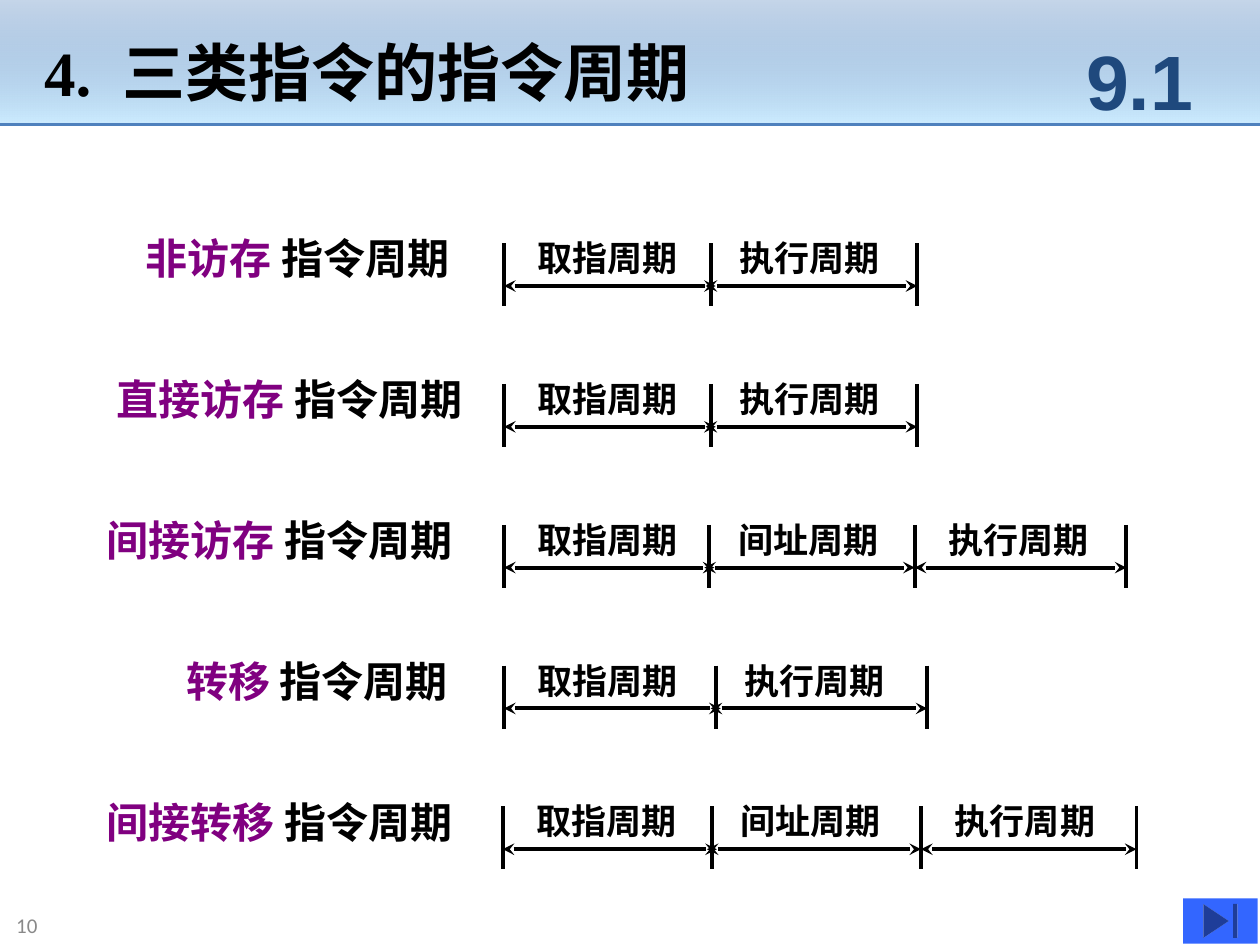
from dataclasses import dataclass

from lxml import etree
from pptx import Presentation
from pptx.dml.color import RGBColor
from pptx.enum.shapes import MSO_CONNECTOR, MSO_SHAPE
from pptx.enum.text import MSO_ANCHOR, MSO_AUTO_SIZE, PP_ALIGN
from pptx.oxml.ns import qn
from pptx.util import Inches, Pt

STRAIGHT = MSO_CONNECTOR.STRAIGHT
RECTANGLE = MSO_SHAPE.RECTANGLE
END_BUTTON = MSO_SHAPE.ACTION_BUTTON_END
TOP, MIDDLE = MSO_ANCHOR.TOP, MSO_ANCHOR.MIDDLE
LEFT, CENTER = PP_ALIGN.LEFT, PP_ALIGN.CENTER
FIT_SHAPE, NO_FIT = MSO_AUTO_SIZE.SHAPE_TO_FIT_TEXT, MSO_AUTO_SIZE.NONE

BLACK, PURPLE, NAVY = "000000", "800080", "1F497D"
BLUE, SKY, GREY, BUTTON = "4F81BD", "CCECFF", "898989", "3366FF"
SERIF = "Times New Roman"

HEADER_HEIGHT = 0.99
FIRST_ROW, LAST_ROW = 1.93, 6.4
TICK_HEIGHT = 0.5
ARROW_DROP = 0.34
OVERLAP = 0.04
LABEL_RIGHT = 3.8
PHASE_INSETS = (0.17, 0.13, 0.17)


@dataclass
class Cycle:
    kind: str
    label_left: float
    edges: tuple[float, ...]
    phases: tuple[str, ...]


FETCH, INDIRECT, EXECUTE = "取指周期", "间址周期", "执行周期"
CYCLES = [
    Cycle("非访存", 1.06, (4, 5.64, 7.28), (FETCH, EXECUTE)),
    Cycle("直接访存", 0.83, (4, 5.64, 7.28), (FETCH, EXECUTE)),
    Cycle("间接访存", 0.75, (4, 5.63, 7.26, 8.94), (FETCH, INDIRECT, EXECUTE)),
    Cycle("转移", 1.38, (4, 5.68, 7.36), (FETCH, EXECUTE)),
    Cycle("间接转移", 0.75, (3.99, 5.65, 7.31, 9.02), (FETCH, INDIRECT, EXECUTE)),
]


def rgb(value: str) -> RGBColor:
    return RGBColor.from_string(value)


def write(frame, *runs: tuple[str, str], size: float, font: str = SERIF,
          bold: bool = True, align=LEFT, anchor=TOP, wrap: bool = True,
          fit=NO_FIT, side_margin: float = 0.1) -> None:
    frame.word_wrap = wrap
    frame.auto_size = fit
    frame.vertical_anchor = anchor
    frame.margin_left = frame.margin_right = Inches(side_margin)
    frame.margin_top = frame.margin_bottom = Inches(0.05)
    paragraph = frame.paragraphs[0]
    paragraph.alignment = align
    for text, color in runs:
        run = paragraph.add_run()
        run.text = text
        run.font.size = Pt(size)
        run.font.name = font
        run.font.bold = bold
        run.font.color.rgb = rgb(color)


def add_text(slide, left: float, top: float, width: float, height: float,
             *runs: tuple[str, str], **formatting) -> None:
    box = slide.shapes.add_textbox(Inches(left), Inches(top), Inches(width), Inches(height))
    write(box.text_frame, *runs, **formatting)


def add_line(slide, x1: float, y1: float, x2: float, y2: float,
             color: str = BLACK, width: float = 2.25, arrows: bool = False):
    line = slide.shapes.add_connector(STRAIGHT, Inches(x1), Inches(y1), Inches(x2), Inches(y2))
    line.line.color.rgb = rgb(color)
    line.line.width = Pt(width)
    properties = line.line._get_or_add_ln()
    if arrows:
        for end in ("a:headEnd", "a:tailEnd"):
            etree.SubElement(properties, qn(end), type="stealth")
    etree.SubElement(properties.getparent(), qn("a:effectLst"))
    return line


def add_header(slide) -> None:
    band = slide.shapes.add_shape(RECTANGLE, 0, 0, Inches(10), Inches(HEADER_HEIGHT))
    band.shadow.inherit = False
    band.line.fill.background()
    band.fill.gradient()
    band.fill.gradient_angle = 270
    upper, lower = band.fill.gradient_stops
    upper.color.rgb, lower.color.rgb = rgb(BLUE), rgb(SKY)
    tint = band.element.spPr.find(".//" + qn("a:srgbClr"))
    etree.SubElement(tint, qn("a:alpha"), val="32000")
    rule = add_line(slide, 0, HEADER_HEIGHT, 10, HEADER_HEIGHT, color=BLUE, width=1.5)
    tree = slide.shapes.element
    tree.insert(2, band.element)
    tree.insert(3, rule.element)

    title = slide.shapes.title
    title.left, title.top = Inches(0.35), Inches(0.28)
    title.width, title.height = Inches(6.24), Inches(0.57)
    write(title.text_frame, ("4.  三类指令的指令周期", BLACK), size=36,
          anchor=MIDDLE, wrap=False, side_margin=0)
    add_text(slide, 8.42, 0.17, 1.25, 0.92, ("9.1", NAVY), size=44, font="Arial",
             align=CENTER, anchor=MIDDLE)


def add_cycle(slide, cycle: Cycle, top: float) -> None:
    add_text(slide, cycle.label_left, top - 0.13, LABEL_RIGHT - cycle.label_left, 0.5,
             (cycle.kind + " ", PURPLE), ("指令周期", BLACK), size=24, fit=FIT_SHAPE)
    for edge in cycle.edges:
        add_line(slide, edge, top, edge, top + TICK_HEIGHT)
    arrow_y = top + ARROW_DROP
    for index, phase in enumerate(cycle.phases):
        start, end = cycle.edges[index:index + 2]
        add_text(slide, start + PHASE_INSETS[index], top - 0.1, 1.31, 0.44,
                 (phase, BLACK), size=20, wrap=False, fit=FIT_SHAPE)
        tail = start - OVERLAP if index == 1 else start
        tip = end + OVERLAP if index == 0 else end
        add_line(slide, tail, arrow_y, tip, arrow_y, arrows=True)


def add_footer(slide) -> None:
    add_text(slide, 0.03, 7.18, 2.21, 0.32, ("10", GREY), size=12, font="Calibri",
             bold=False, anchor=MIDDLE)
    button = slide.shapes.add_shape(END_BUTTON, Inches(9.39), Inches(7.13),
                                    Inches(0.59), Inches(0.36))
    button.shadow.inherit = False
    button.fill.solid()
    button.fill.fore_color.rgb = rgb(BUTTON)
    button.line.fill.background()


def main() -> None:
    deck = Presentation()
    deck.slide_width, deck.slide_height = Inches(10), Inches(7.5)
    slide = deck.slides.add_slide(deck.slide_layouts[5])
    add_header(slide)
    pitch = (LAST_ROW - FIRST_ROW) / (len(CYCLES) - 1)
    for row, cycle in enumerate(CYCLES):
        add_cycle(slide, cycle, FIRST_ROW + row * pitch)
    add_footer(slide)
    deck.save("out.pptx")


if __name__ == "__main__":
    main()
